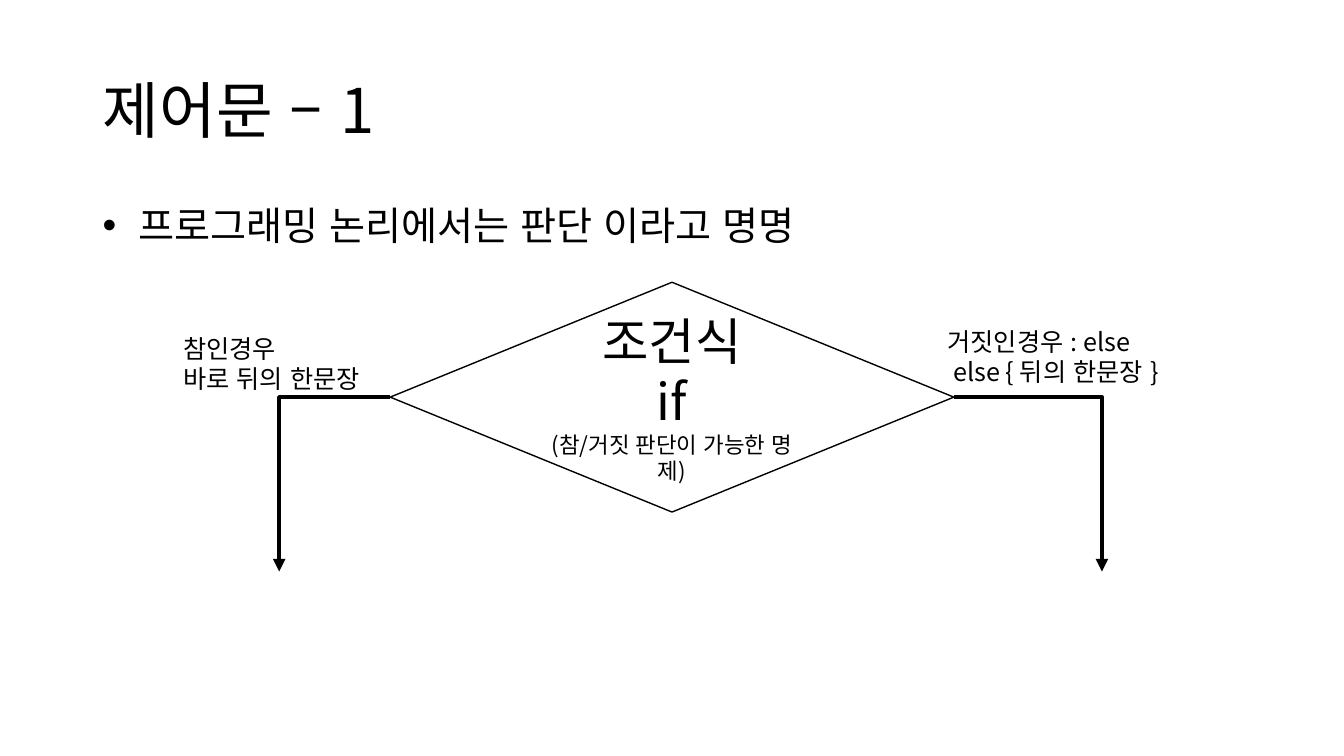
from pptx import Presentation
from pptx.dml.color import RGBColor
from pptx.enum.lang import MSO_LANGUAGE_ID
from pptx.enum.shapes import MSO_CONNECTOR, MSO_SHAPE
from pptx.enum.text import MSO_ANCHOR, MSO_AUTO_SIZE, PP_ALIGN
from pptx.oxml.ns import qn
from pptx.util import Inches, Pt
from lxml import etree

ELBOW = MSO_CONNECTOR.ELBOW
DIAMOND = MSO_SHAPE.FLOWCHART_DECISION
MIDDLE, TOP = MSO_ANCHOR.MIDDLE, MSO_ANCHOR.TOP
CENTER, LEFT = PP_ALIGN.CENTER, PP_ALIGN.LEFT
GROW = MSO_AUTO_SIZE.SHAPE_TO_FIT_TEXT
KOREAN = MSO_LANGUAGE_ID.KOREAN
CELL = 0.1  # side of one grid cell in inches


def color(code):
    return RGBColor.from_string(code)


def grid(*cells):
    """Turn counts of columns or rows into lengths."""
    return [Inches(n * CELL) for n in cells]


class Board:
    font = "Noto Sans CJK KR"
    ink = "000000"

    def __init__(self, deck):
        self.slide = deck.slides.add_slide(deck.slide_layouts[6])

    def fill_text(self, frame, lines, sizes, align=LEFT):
        frame.text = "\n".join(lines)
        for para, size in zip(frame.paragraphs, sizes):
            para.alignment = align
            for run in para.runs:
                run.font.size = Pt(size)
                run.font.name = self.font
                run.font.language_id = KOREAN
                run.font.color.rgb = color(self.ink)
                east = etree.SubElement(run.font._element, qn("a:ea"))
                east.set("typeface", self.font)

    def text(self, area, lines, size, anchor=TOP, wrap=True):
        frame = self.slide.shapes.add_textbox(*grid(*area)).text_frame
        frame.word_wrap = wrap
        frame.vertical_anchor = anchor
        if not wrap:
            frame.auto_size = GROW
        self.fill_text(frame, lines, [size] * len(lines))
        return frame.paragraphs[0]

    def title(self, area, line):
        self.text(area, [line], 44, MIDDLE).line_spacing = 0.9

    def bullet(self, area, line):
        para = self.text(area, [line], 28)
        para.line_spacing = 0.9
        para.space_before = Pt(10)
        props = para._p.get_or_add_pPr()
        hang = Inches(0.25)
        props.set("marL", str(hang))
        props.set("indent", str(-hang))
        etree.SubElement(props, qn("a:buFont")).set("typeface", "Arial")
        etree.SubElement(props, qn("a:buChar")).set("char", "•")

    def choice(self, area, lines, sizes):
        """Draw an unfilled decision diamond with centred text."""
        shape = self.slide.shapes.add_shape(DIAMOND, *grid(*area))
        shape.shadow.inherit = False
        shape.fill.background()
        shape.line.color.rgb = color(self.ink)
        shape.line.width = Pt(1)
        frame = shape.text_frame
        frame.word_wrap = True
        frame.vertical_anchor = MIDDLE
        self.fill_text(frame, lines, sizes, CENTER)

    def branch(self, start, end):
        """Draw an arrow that runs sideways, then down."""
        link = self.slide.shapes.add_connector(ELBOW, *grid(*start, *end))
        link.line.color.rgb = color(self.ink)
        link.line.width = Pt(3)
        props = link._element.spPr
        props.find(qn("a:prstGeom")).set("prst", "bentConnector2")
        tip = etree.SubElement(props.find(qn("a:ln")), qn("a:tailEnd"))
        tip.set("type", "triangle")
        etree.SubElement(props, qn("a:effectLst"))


def main():
    deck = Presentation()
    deck.slide_width, deck.slide_height = Inches(13.33), Inches(7.5)
    board = Board(deck)
    board.title((9.2, 4, 115, 14.5), "제어문 – 1")
    board.bullet((9.2, 20, 115, 47.6), " 프로그래밍 논리에서는 판단 이라고 명명")

    left, top, wide, high = 38.7, 28, 55.9, 22.8
    board.choice((left, top, wide, high),
                 ["조건식", "if", "(참/거짓 판단이 가능한 명제)"], [36, 36, 16])
    mid, foot = top + high / 2, 56.7
    for corner, end in ((left, 27.7), (left + wide, 109.3)):
        board.branch((corner, mid), (end, foot))

    labels = [
        ((17.2, 32.6, 21.5, 7.1), ["참인경우", "바로 뒤의 한문장"]),
        ((93, 31.9, 25.1, 7.1), ["거짓인경우 : else", " else { 뒤의 한문장 }"]),
    ]
    for area, lines in labels:
        board.text(area, lines, 18, wrap=False)
    deck.save("out.pptx")


if __name__ == "__main__":
    main()
